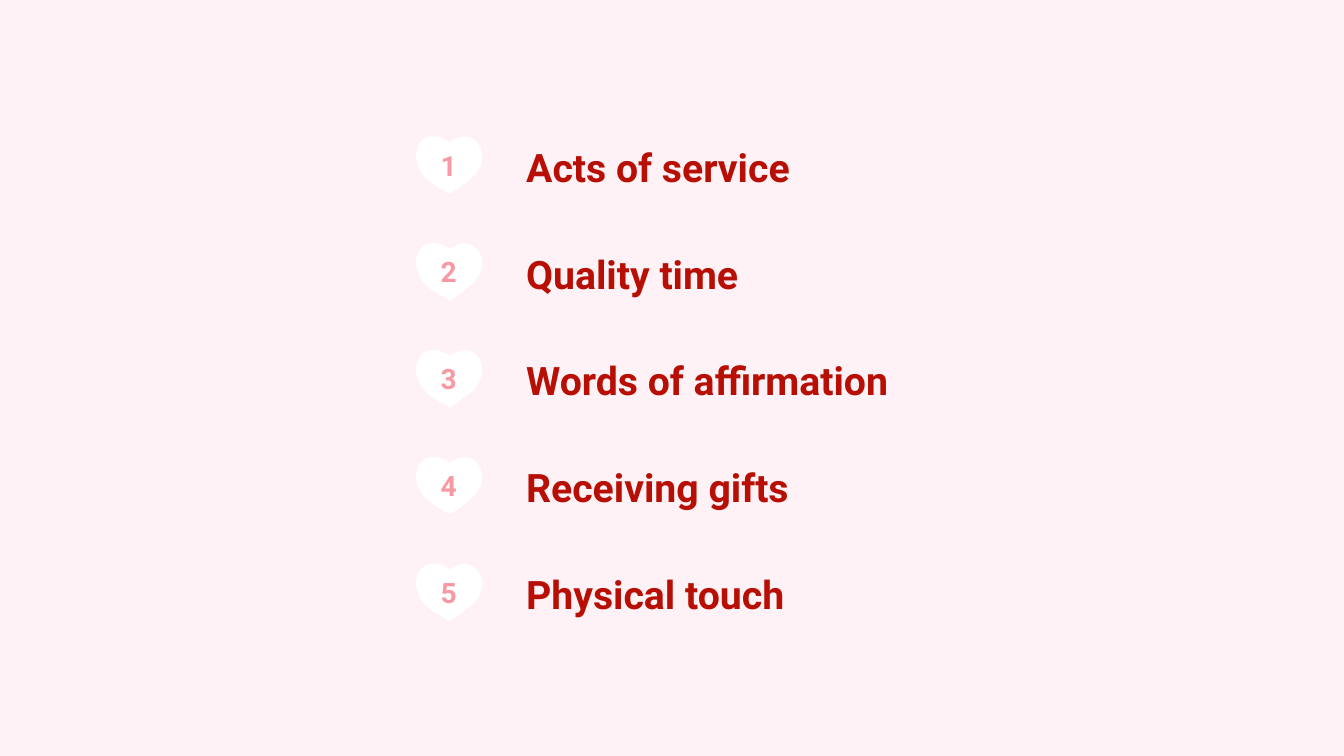
from lxml.etree import SubElement
from pptx import Presentation
from pptx.dml.color import RGBColor
from pptx.enum.shapes import MSO_SHAPE as Preset
from pptx.enum.text import MSO_ANCHOR as Anchor, MSO_AUTO_SIZE as AutoSize, PP_ALIGN as Align
from pptx.oxml.ns import qn
from pptx.util import Inches, Pt

COLORS = {"background": "FFF2F7", "heart": "FFFFFF", "number": "F798A2", "label": "B70F04"}
NUMBER_FONT = {"name": "Roboto", "size": Pt(20), "bold": True}
LABEL_FONT = {"name": "Roboto", "size": Pt(28), "bold": True}
LANGUAGES = [
    ("Acts of service", 2.95),
    ("Quality time", 2.48),
    ("Words of affirmation", 4.09),
    ("Receiving gifts", 2.97),
    ("Physical touch", 2.92),
]
PAGE_WIDTH, PAGE_HEIGHT = 13.33, 7.5
LIST_LEFT, LIST_TOP, ROW_PITCH = 4.12, 1.35, 1.06
HEART_WIDTH, HEART_HEIGHT = 0.66, 0.57
HEART_START = (0.05, 0.06)
HEART_CURVES = [
    ((0.14, -0.04), (0.27, 0.01), (0.34, 0.06)),
    ((0.40, 0.02), (0.52, -0.04), (0.61, 0.06)),
    ((0.74, 0.22), (0.61, 0.39), (0.50, 0.46)),
    ((0.44, 0.51), (0.40, 0.54), (0.34, 0.57)),
    ((0.34, 0.57), (0.24, 0.52), (0.14, 0.45)),
    ((0.00, 0.33), (-0.03, 0.17), HEART_START),
]


def color(name):
    return RGBColor.from_string(COLORS[name])


def paint(shape, color_name):
    shape.shadow.inherit = False
    shape.fill.solid()
    shape.fill.fore_color.rgb = color(color_name)
    shape.line.fill.background()


def write(box, text, font_values, color_name, align):
    para = box.text_frame.paragraphs[0]
    para.alignment = align
    span = para.add_run()
    span.text = text
    for key, value in font_values.items():
        setattr(span.font, key, value)
    span.font.color.rgb = color(color_name)


def add_step(outline, tag, points):
    step = SubElement(outline, qn(tag))
    for x, y in points:
        SubElement(step, qn("a:pt"), x=str(Inches(x)), y=str(Inches(y)))


def curve_outline(shape):
    outline = shape.element.find(".//" + qn("a:path"))
    for step in list(outline):
        outline.remove(step)
    add_step(outline, "a:moveTo", [HEART_START])
    for curve in HEART_CURVES:
        add_step(outline, "a:cubicBezTo", curve)
    add_step(outline, "a:close", [])


def add_heart(page, left, top, number):
    width, height = Inches(HEART_WIDTH), Inches(HEART_HEIGHT)
    builder = page.shapes.build_freeform(0, 0, scale=1.0)
    builder.add_line_segments([(width, 0), (width, height), (0, height)], close=True)
    heart = builder.convert_to_shape(Inches(left), Inches(top))
    curve_outline(heart)
    paint(heart, "heart")
    heart.text_frame.vertical_anchor = Anchor.MIDDLE
    write(heart, str(number), NUMBER_FONT, "number", Align.CENTER)


def add_row(page, left, top, number, label, label_width):
    add_heart(page, left, top, number)
    box = page.shapes.add_textbox(Inches(left + 1), Inches(top + 0.02), Inches(label_width), Inches(0.52))
    box.text_frame.word_wrap = False
    box.text_frame.auto_size = AutoSize.SHAPE_TO_FIT_TEXT
    write(box, label, LABEL_FONT, "label", Align.LEFT)


def add_list_page(deck):
    page = deck.slides.add_slide(deck.slide_layouts[6])
    backdrop = page.shapes.add_shape(Preset.RECTANGLE, 0, 0, Inches(PAGE_WIDTH), Inches(PAGE_HEIGHT))
    paint(backdrop, "background")
    for index, (label, label_width) in enumerate(LANGUAGES):
        add_row(page, LIST_LEFT, LIST_TOP + index * ROW_PITCH, index + 1, label, label_width)


def main():
    deck = Presentation()
    deck.slide_width, deck.slide_height = Inches(PAGE_WIDTH), Inches(PAGE_HEIGHT)
    add_list_page(deck)
    deck.save("out.pptx")


if __name__ == "__main__":
    main()
